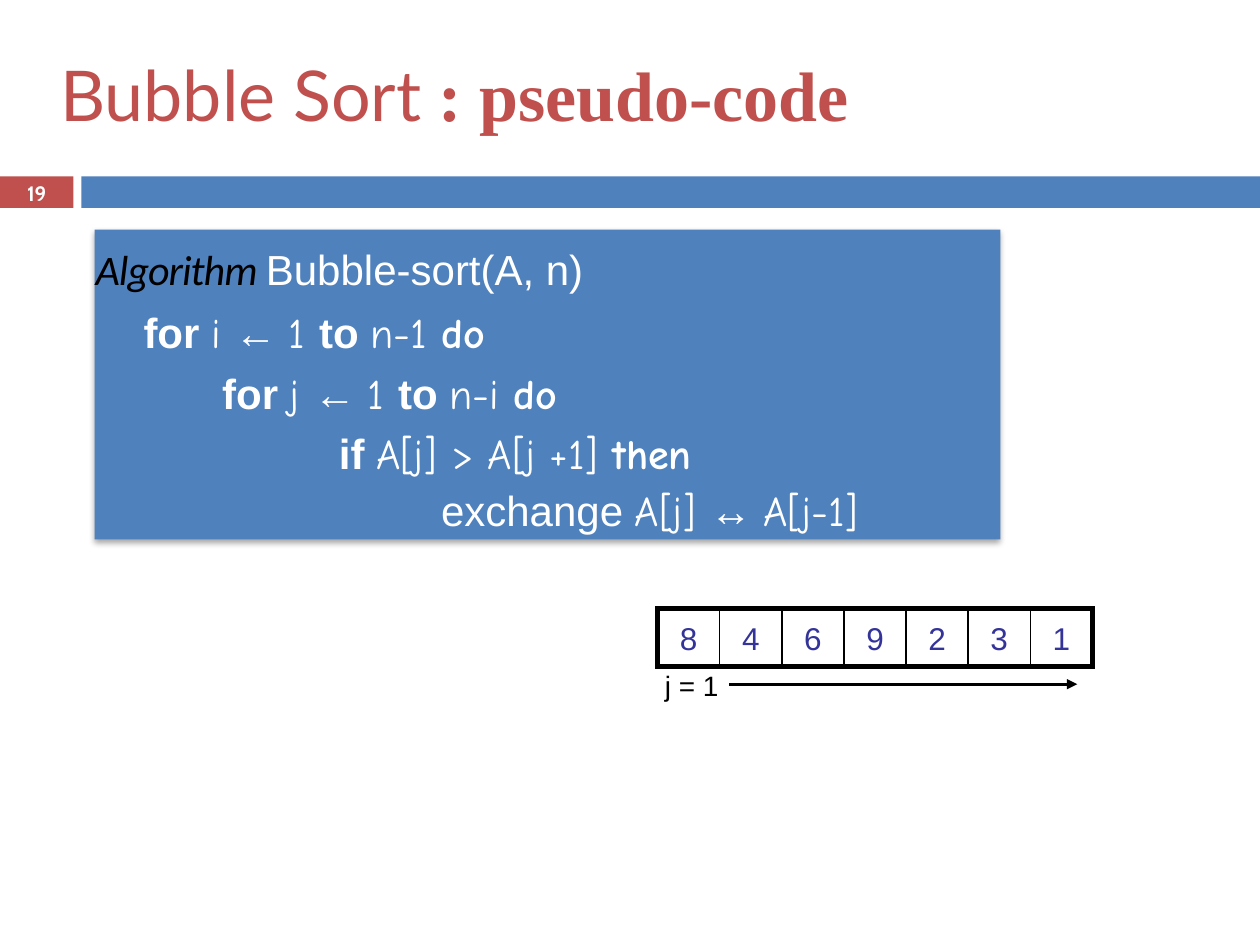
from dataclasses import dataclass

from lxml import etree
from pptx import Presentation
from pptx.dml.color import RGBColor as RGB
from pptx.enum.shapes import MSO_CONNECTOR as LINE, MSO_SHAPE as SHAPE
from pptx.enum.text import MSO_ANCHOR as ANCHOR, PP_ALIGN as ALIGN
from pptx.oxml import parse_xml
from pptx.oxml.ns import nsdecls, qn
from pptx.util import Pt


@dataclass(frozen=True)
class Theme:
    red: str = "C0504D"
    blue: str = "4F81BD"
    navy: str = "333399"
    black: str = "000000"
    white: str = "FFFFFF"
    head: str = "Lato"
    serif: str = "Times New Roman"
    sans: str = "Arial"
    hand: str = "Comic Neue"
    term: str = "Calibri"
    tag: str = "Cabin"
    title: float = 40
    code: float = 24
    cell: float = 18
    note: float = 16
    page: float = 11.9


class Deck:
    def __init__(self, theme):
        self.theme = theme
        self.file = Presentation()
        self.file.slide_width, self.file.slide_height = Pt(720), Pt(540)
        self.slide = self.file.slides.add_slide(self.file.slide_layouts[5])
        self.shapes = self.slide.shapes

    def style(self, font, size=None, name=None, color=None, bold=None):
        if size:
            font.size = Pt(size)
        if name:
            font.name = name
        if color:
            font.color.rgb = RGB.from_string(color)
        if bold is not None:
            font.bold = bold

    def frame(self, shape, top=0, anchor=ANCHOR.TOP):
        frame = shape.text_frame
        frame.margin_left = frame.margin_right = frame.margin_bottom = 0
        frame.margin_top = Pt(top)
        frame.vertical_anchor = anchor
        frame.word_wrap = True
        return frame

    def title(self, box, parts):
        shape = self.shapes.title
        shape.left, shape.top, shape.width, shape.height = map(Pt, box)
        para = self.frame(shape, 1, ANCHOR.MIDDLE).paragraphs[0]
        para.alignment = ALIGN.LEFT
        self.style(para.font, self.theme.title, color=self.theme.red)
        for text, name, bold in parts:
            run = para.add_run()
            run.text = text
            self.style(run.font, name=name, bold=bold)

    def bar(self, box, color):
        shape = self.shapes.add_shape(SHAPE.RECTANGLE, *map(Pt, box))
        shape.shadow.inherit = False
        shape.fill.solid()
        shape.fill.fore_color.rgb = RGB.from_string(color)
        shape.line.fill.background()
        return shape

    def label(self, box, text, size, name, color, align=ALIGN.LEFT,
              bold=False, anchor=ANCHOR.TOP):
        shape = self.shapes.add_textbox(*map(Pt, box))
        para = self.frame(shape, 1, anchor).paragraphs[0]
        para.text, para.alignment = text, align
        self.style(para.font, size, name, color, bold)

    def code(self, box, lines):
        theme = self.theme
        shape = self.bar(box, theme.blue)
        shade = shape._element.spPr.find(qn("a:effectLst"))
        shade.append(parse_xml(
            f'<a:outerShdw {nsdecls("a")} blurRad="{Pt(3)}" dist="{Pt(2)}" '
            'dir="5400000" rotWithShape="0"><a:srgbClr val="000000">'
            '<a:alpha val="35000"/></a:srgbClr></a:outerShdw>'))
        frame = self.frame(shape, 8)
        for row, (left, gap, pitch, parts) in enumerate(lines):
            para = frame.add_paragraph() if row else frame.paragraphs[0]
            para.alignment = ALIGN.LEFT
            para.space_before = Pt(gap)
            if pitch:
                para.line_spacing = Pt(pitch)
            para._p.get_or_add_pPr().set("marL", str(Pt(left)))
            self.style(para.font, theme.code, color=theme.white)
            for text, name, bold in parts:
                run = para.add_run()
                run.text = text
                self.style(run.font, name=name, bold=bold)
                if name == theme.term:
                    run.font.italic = True
                    self.style(run.font, color=theme.black)
                    run.font._element.set("spc", "-60")

    def edge(self, cell, side, width):
        cell._tc.get_or_add_tcPr().append(parse_xml(
            f'<a:{side} {nsdecls("a")} w="{Pt(width)}"><a:solidFill>'
            f'<a:srgbClr val="{self.theme.black}"/></a:solidFill></a:{side}>'))

    def array(self, left, top, wide, high, items):
        theme, last = self.theme, len(items) - 1
        table = self.shapes.add_table(
            1, len(items), Pt(left), Pt(top), Pt(wide * len(items)), Pt(high)).table
        table.first_row = table.horz_banding = False
        table.rows[0].height = Pt(high)
        for col, item in enumerate(items):
            table.columns[col].width = Pt(wide)
            cell = table.cell(0, col)
            cell.margin_left = cell.margin_right = cell.margin_bottom = 0
            cell.margin_top = Pt(7.6)
            para = cell.text_frame.paragraphs[0]
            para.text, para.alignment = str(item), ALIGN.CENTER
            self.style(para.font, theme.cell, theme.sans, theme.navy)
            self.edge(cell, "lnL", 1 if col else 3)
            self.edge(cell, "lnR", 1 if col < last else 3)
            self.edge(cell, "lnT", 3)
            self.edge(cell, "lnB", 3)
            cell.fill.background()

    def arrow(self, start, end, level):
        line = self.shapes.add_connector(
            LINE.STRAIGHT, Pt(start), Pt(level), Pt(end), Pt(level))
        line.line.width = Pt(1.5)
        line.line.color.rgb = RGB.from_string(self.theme.black)
        etree.SubElement(line.line._get_or_add_ln(), qn("a:tailEnd"), type="triangle")
        etree.SubElement(line._element.spPr, qn("a:effectLst"))


def main():
    theme = Theme()
    sans, hand = theme.sans, theme.hand
    deck = Deck(theme)
    deck.bar((0, 100.8, 42, 18), theme.red)
    deck.bar((46.5, 100.8, 673.5, 18), theme.blue)
    deck.title((34.5, 28, 552, 50), [
        ("Bubble Sort", theme.head, False), (" : pseudo-code", theme.serif, True)])
    deck.array(375.8, 347.8, 35.5, 33.2, [8, 4, 6, 9, 2, 3, 1])
    deck.label((380, 381, 36, 20), "j = 1", theme.note, sans, theme.black)

    def loop(name, stop):
        return [("for ", sans, True), (f"{name} ", hand, False), ("← ", sans, False),
                ("1 ", hand, False), ("to ", sans, True),
                (f"{stop} ", hand, False), ("do", hand, True)]

    deck.code((54, 131.2, 517.7, 177.1), [
        (0.7, 0, None, [("Algorithm ", theme.term, False),
                        ("Bubble-sort(A, n)", sans, False)]),
        (28, 7.2, None, loop("i", "n-1")),
        (73, 5.8, None, loop("j", "n-i")),
        (139.7, 5.8, None, [("if ", sans, True), ("A[j] > A[j +1] ", hand, False),
                            ("then", hand, True)]),
        (198, 5.8, 26.8, [("exchange ", sans, False), ("A[j] ", hand, False),
                          ("↔ ", sans, False), ("A[j-1]", hand, False)])])
    deck.arrow(416.7, 615.6, 391)
    deck.label((0, 100, 42, 19.5), "19", theme.page, theme.tag, theme.white,
               ALIGN.CENTER, True, ANCHOR.MIDDLE)
    deck.file.save("out.pptx")


if __name__ == "__main__":
    main()
